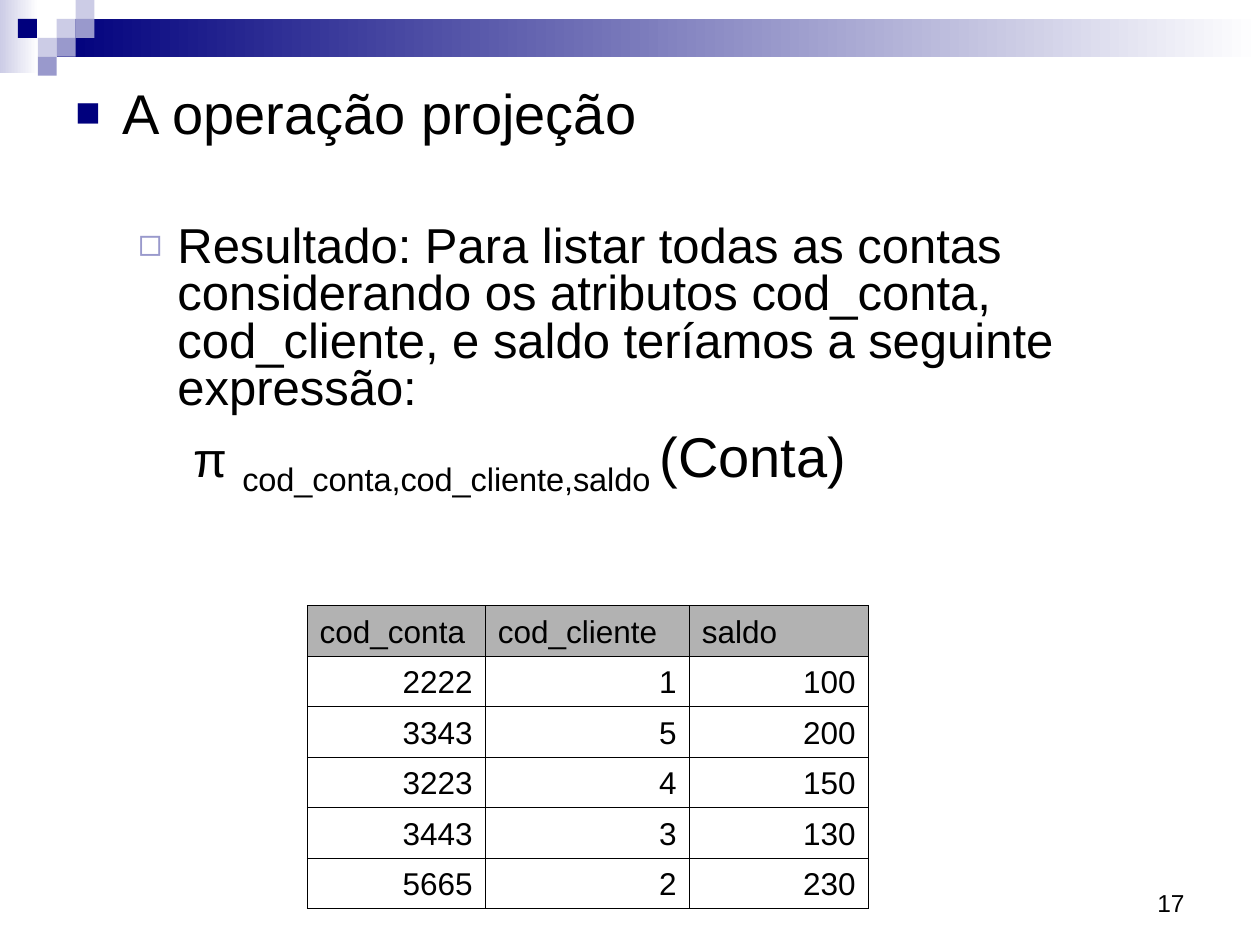
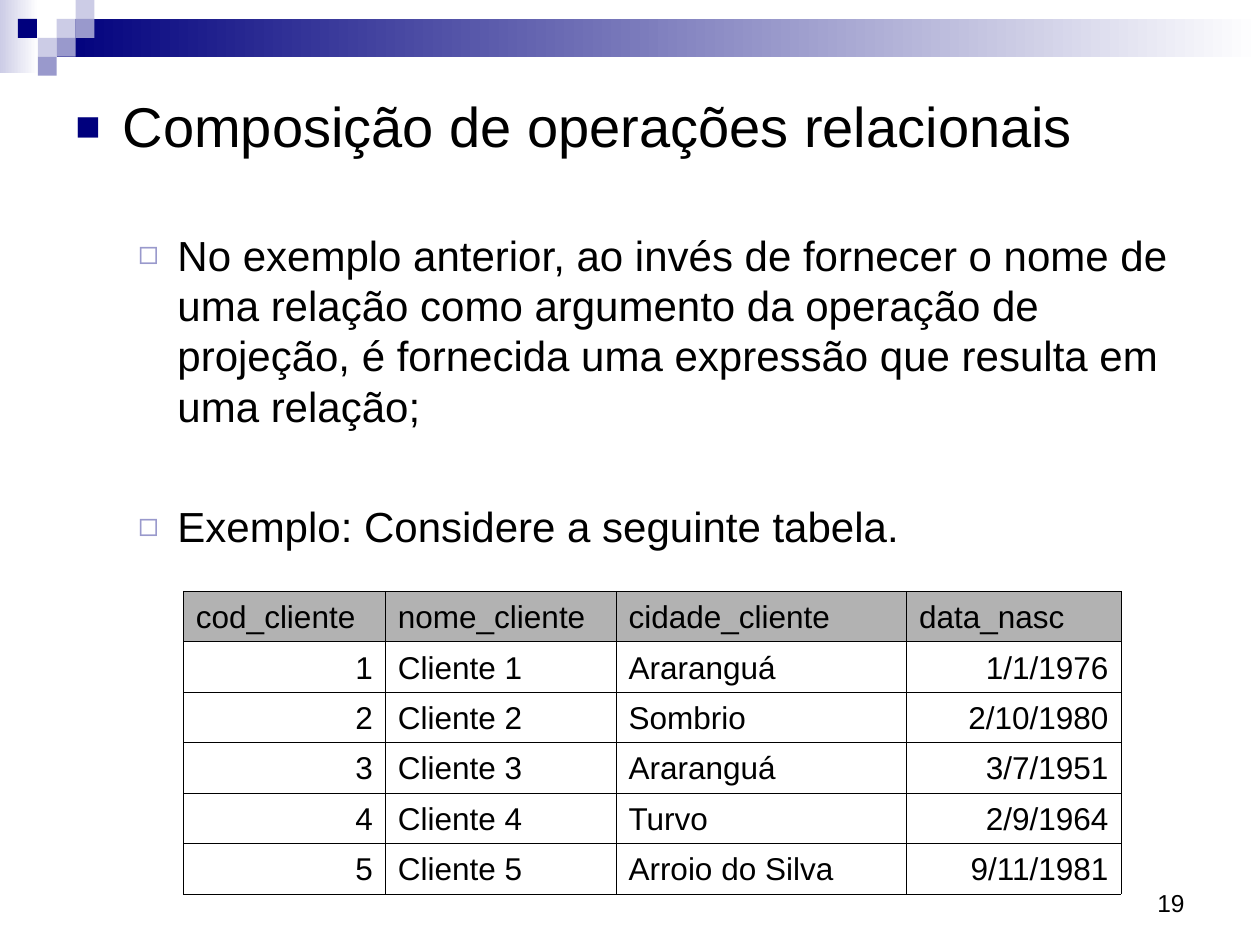
from dataclasses import dataclass

from lxml import etree
from pptx import Presentation
from pptx.dml.color import RGBColor
from pptx.enum.shapes import MSO_SHAPE
from pptx.enum.text import MSO_ANCHOR, PP_ALIGN
from pptx.oxml.ns import qn
from pptx.util import Pt

RECTANGLE = MSO_SHAPE.RECTANGLE
BOTTOM = MSO_ANCHOR.BOTTOM
LEFT, RIGHT = PP_ALIGN.LEFT, PP_ALIGN.RIGHT


@dataclass(frozen=True)
class Theme:
    font: str = "Arial"
    ink: str = "000000"
    paper: str = "FFFFFF"
    navy: str = "00007D"
    lilac: str = "9999CC"
    pale: str = "CCCCE6"
    header: str = "B2B2B2"
    heading_size: int = 32
    cell_size: int = 18
    number_size: int = 14


theme = Theme()

# Bullet glyph, colour and size in percent
HEADING_BULLET = ("■", theme.navy, 75)
POINT_BULLET = ("◻", theme.lilac, 80)
HEADING = dict(size=theme.heading_size, margin=27, indent=-27, bullet=HEADING_BULLET)
POINT = dict(margin=58.3, indent=-22.5, bullet=POINT_BULLET)


def write(paragraph, text, *, size, align=LEFT, before=0, spacing=None,
          margin=0, indent=0, bullet=None, baseline=0):
    """Add a run to the paragraph; the paragraph takes its format from the first run."""
    first = not paragraph.runs
    run = paragraph.add_run()
    run.text = text
    run.font.name = theme.font
    run.font.size = Pt(size)
    run.font.color.rgb = RGBColor.from_string(theme.ink)
    if baseline:
        run.font._element.set("baseline", str(baseline * 1000))
    if not first:
        return
    paragraph.alignment = align
    paragraph.space_before = Pt(before)
    if spacing:
        paragraph.line_spacing = spacing
    properties = paragraph._p.get_or_add_pPr()
    properties.set("marL", str(Pt(margin)))
    properties.set("indent", str(Pt(indent)))
    if bullet:
        glyph, color, percent = bullet
        bullet_color = etree.SubElement(properties, qn("a:buClr"))
        etree.SubElement(bullet_color, qn("a:srgbClr"), val=color)
        etree.SubElement(properties, qn("a:buSzPct"), val=str(percent * 1000))
        etree.SubElement(properties, qn("a:buFont"), typeface=theme.font)
        etree.SubElement(properties, qn("a:buChar"), char=glyph)


def add_block(slide, left, top, width, height, *colors):
    """Draw a plain rectangle; two colours make a left-to-right gradient."""
    block = slide.shapes.add_shape(RECTANGLE, Pt(left), Pt(top), Pt(width), Pt(height))
    block.shadow.inherit = False
    block.line.fill.background()
    if len(colors) == 1:
        block.fill.solid()
        block.fill.fore_color.rgb = RGBColor.from_string(colors[0])
        return
    block.fill.gradient()
    block.fill.gradient_angle = 0
    for stop, color, position in zip(block.fill.gradient_stops, colors, (0, 1)):
        stop.color.rgb = RGBColor.from_string(color)
        stop.position = position


# Corner mosaic: column, row, colour
SQUARE = 10.8
MOSAIC = [
    (3, 1, theme.pale), (4, 0, theme.pale), (4, 1, theme.lilac),
    (2, 2, theme.pale), (0.95, 1, theme.navy), (3, 2, theme.lilac),
    (2, 3, theme.lilac),
]

# Each body paragraph is a list of (text, format) runs
tight = dict(spacing=0.8)
SLIDES = [
    dict(
        number=17,
        body_height=255,
        body=[
            [("A operação projeção", HEADING | tight | dict(before=8))],
            [("Resultado: Para listar todas as contas considerando os atributos "
              "cod_conta, cod_cliente, e saldo teríamos a seguinte expressão:",
              POINT | tight | dict(size=28, before=46))],
            [("π", tight | dict(size=28, margin=67.2, before=8)),
             (" ", dict(size=32)),
             ("cod_conta,cod_cliente,saldo ", dict(size=32, baseline=-25)),
             ("(Conta)", dict(size=32))],
        ],
        table_at=(175.5, 346.2),
        columns=[(101.8, RIGHT), (116.6, RIGHT), (102.2, RIGHT)],
        rows=[
            ("cod_conta", "cod_cliente", "saldo"),
            ("2222", "1", "100"),
            ("3343", "5", "200"),
            ("3223", "4", "150"),
            ("3443", "3", "130"),
            ("5665", "2", "230"),
        ],
    ),
    dict(
        number=19,
        body_height=400,
        body=[
            [("Composição de operações relacionais", HEADING | dict(before=8))],
            [("No exemplo anterior, ao invés de fornecer o nome de uma relação como "
              "argumento da operação de projeção, é fornecida uma expressão que "
              "resulta em uma relação;", POINT | dict(size=24, before=40))],
            [("Exemplo: Considere a seguinte tabela.",
              POINT | dict(size=24, before=40))],
        ],
        table_at=(104.8, 337.8),
        columns=[(115.4, RIGHT), (131.8, LEFT), (166, LEFT), (122.6, RIGHT)],
        rows=[
            ("cod_cliente", "nome_cliente", "cidade_cliente", "data_nasc"),
            ("1", "Cliente 1", "Araranguá", "1/1/1976"),
            ("2", "Cliente 2", "Sombrio", "2/10/1980"),
            ("3", "Cliente 3", "Araranguá", "3/7/1951"),
            ("4", "Cliente 4", "Turvo", "2/9/1964"),
            ("5", "Cliente 5", "Arroio do Silva", "9/11/1981"),
        ],
    ),
]
ROW_HEIGHT = 28.8
BORDER = 0.45

presentation = Presentation()
presentation.slide_width, presentation.slide_height = Pt(720), Pt(540)

for content in SLIDES:
    slide = presentation.slides.add_slide(presentation.slide_layouts[6])

    # Top band and corner mosaic
    add_block(slide, 0, 0, 22, 42, theme.pale, theme.paper)
    add_block(slide, 32.4, 10.8, 687.6, 21.6, theme.navy, theme.paper)
    for column, row, color in MOSAIC:
        add_block(slide, column * SQUARE, row * SQUARE, SQUARE, SQUARE, color)

    # Slide number
    number = slide.shapes.add_textbox(Pt(516), Pt(492), Pt(168), Pt(36)).text_frame
    number.word_wrap = True
    number.vertical_anchor = BOTTOM
    write(number.paragraphs[0], str(content["number"]), size=theme.number_size, align=RIGHT)

    # Body text
    body = slide.shapes.add_textbox(
        Pt(36), Pt(49), Pt(661.7), Pt(content["body_height"])).text_frame
    body.word_wrap = True
    for index, runs in enumerate(content["body"]):
        paragraph = body.add_paragraph() if index else body.paragraphs[0]
        for text, style in runs:
            write(paragraph, text, **style)

    # Relation table
    columns, rows = content["columns"], content["rows"]
    left, top = content["table_at"]
    relation = slide.shapes.add_table(
        len(rows), len(columns), Pt(left), Pt(top),
        Pt(sum(width for width, _ in columns)), Pt(ROW_HEIGHT * len(rows))).table
    relation.first_row = relation.horz_banding = False
    for column, (width, _) in zip(relation.columns, columns):
        column.width = Pt(width)
    for r, values in enumerate(rows):
        relation.rows[r].height = Pt(ROW_HEIGHT)
        for c, value in enumerate(values):
            cell = relation.cell(r, c)
            cell.vertical_anchor = BOTTOM
            write(cell.text_frame.paragraphs[0], value, size=theme.cell_size,
                  align=columns[c][1] if r else LEFT)
            # Borders come before the fill in the cell properties
            for side in ("a:lnL", "a:lnR", "a:lnT", "a:lnB"):
                edge = etree.SubElement(cell._tc.get_or_add_tcPr(), qn(side), w=str(Pt(BORDER)))
                edge_fill = etree.SubElement(edge, qn("a:solidFill"))
                etree.SubElement(edge_fill, qn("a:srgbClr"), val=theme.ink)
            if r:
                cell.fill.background()
            else:
                cell.fill.solid()
                cell.fill.fore_color.rgb = RGBColor.from_string(theme.header)

presentation.save("out.pptx")
